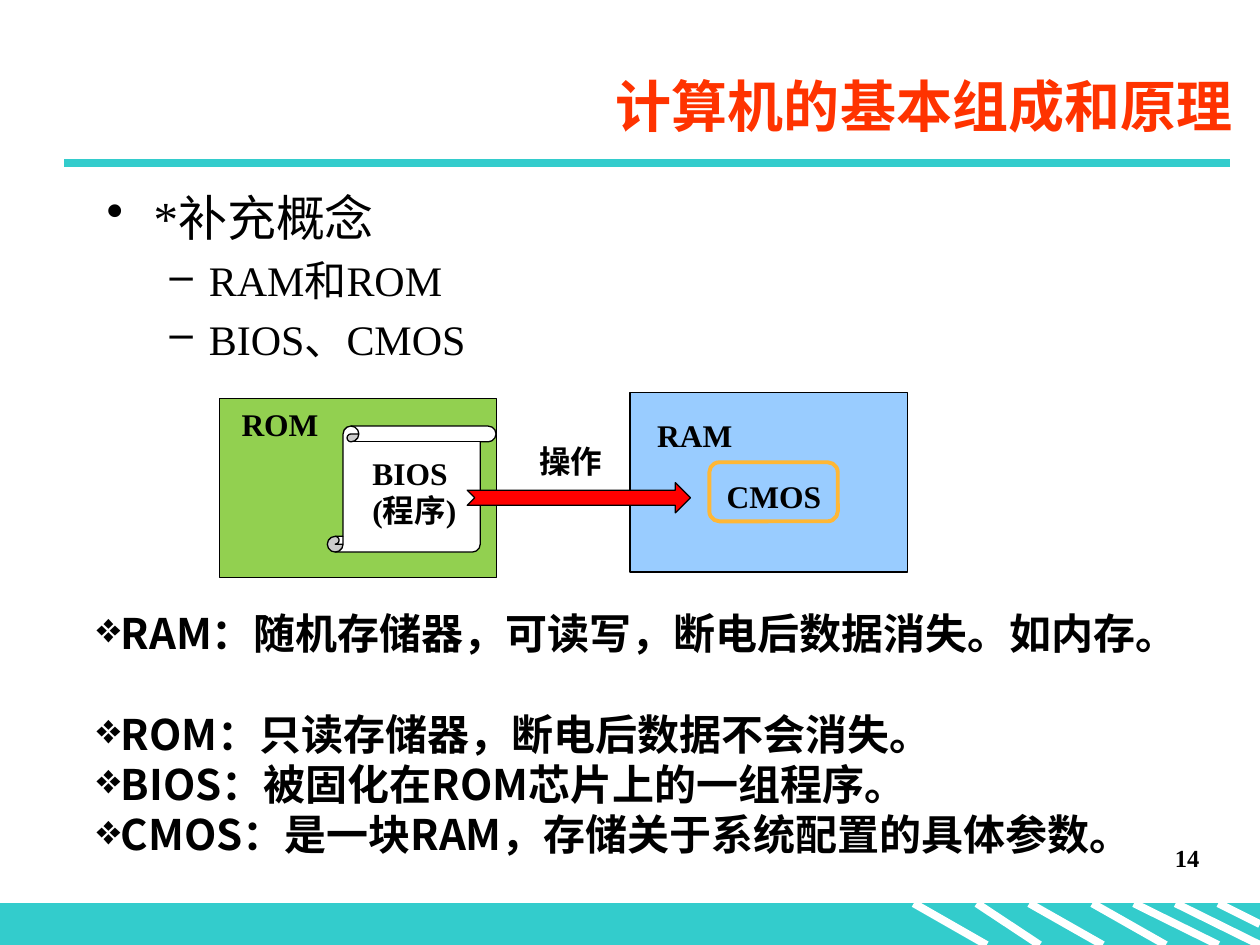
from dataclasses import dataclass

import pptx
import pptx.util
import pptx.dml.color
import pptx.enum.lang
import pptx.enum.shapes
import pptx.enum.text
import pptx.oxml.ns
from lxml import etree

Cm = pptx.util.Cm
Pt = pptx.util.Pt
KIND = pptx.enum.shapes.MSO_SHAPE
ALIGN = pptx.enum.text.PP_ALIGN
ANCHOR = pptx.enum.text.MSO_ANCHOR
SERIF = "Times New Roman"
SANS = "Noto Sans CJK SC"
COLORS = {"teal": "33CCCC", "white": "FFFFFF", "black": "000000",
          "title": "FF3300", "green": "92D050", "blue": "99CCFF",
          "red": "FF0000", "gold": "FFB735"}


@dataclass
class Box:
    """Place and size in centimetres."""
    left: float
    top: float
    width: float
    height: float

    def emu(self) -> tuple:
        return Cm(self.left), Cm(self.top), Cm(self.width), Cm(self.height)


@dataclass
class Para:
    text: str
    size: float = 18
    bold: bool = True
    color: str = "black"
    font: str = SERIF
    align: object = ALIGN.LEFT
    before: float = 0
    bullet: str = ""
    margin: float = 0
    hang: float = 0
    level: int = 0


@dataclass
class Form:
    kind: object
    box: Box
    fill: str = ""
    line: str = "black"
    weight: float = 0.75
    adjust: tuple = ()


def rgb(name: str):
    return pptx.dml.color.RGBColor.from_string(COLORS[name])


def add_sub(parent, tag: str, **attrs):
    return etree.SubElement(parent, pptx.oxml.ns.qn(tag), **attrs)


def draw_form(slide, form: Form) -> None:
    shape = slide.shapes.add_shape(form.kind, *form.box.emu())
    shape.shadow.inherit = False
    for index, value in enumerate(form.adjust):
        shape.adjustments[index] = value
    if form.fill:
        shape.fill.solid()
        shape.fill.fore_color.rgb = rgb(form.fill)
    else:
        shape.fill.background()
    shape.line.color.rgb = rgb(form.line)
    shape.line.width = Pt(form.weight)


def draw_line(slide, start: tuple, end: tuple, color: str) -> None:
    line = slide.shapes.add_connector(
        pptx.enum.shapes.MSO_CONNECTOR.STRAIGHT,
        *(Cm(value) for value in start + end))
    line.line.color.rgb = rgb(color)
    line.line.width = Pt(4.5)
    add_sub(line._element.spPr, "a:effectLst")


def add_para(par, item: Para) -> None:
    props = par._p.get_or_add_pPr()
    if item.bullet:
        props.set("marL", str(Cm(item.margin)))
        props.set("indent", str(-Cm(item.hang)))
        add_sub(add_sub(props, "a:buClr"), "a:srgbClr", val=COLORS[item.color])
        add_sub(props, "a:buChar", char=item.bullet)
    par.level = item.level
    par.alignment = item.align
    par.space_before = Pt(item.before)
    run = par.add_run()
    run.text = item.text
    font = run.font
    font.name, font.size, font.bold = item.font, Pt(item.size), item.bold
    font.color.rgb = rgb(item.color)
    font.language_id = pptx.enum.lang.MSO_LANGUAGE_ID.SIMPLIFIED_CHINESE
    add_sub(run._r.get_or_add_rPr(), "a:ea", typeface=SANS)


def draw_text(slide, box: Box, *items: Para, anchor=ANCHOR.TOP) -> None:
    frame = slide.shapes.add_textbox(*box.emu()).text_frame
    frame.word_wrap = True
    frame.vertical_anchor = anchor
    for index, item in enumerate(items):
        add_para(frame.add_paragraph() if index else frame.paragraphs[0], item)


def draw_frame(slide) -> None:
    """Footer band with stripes, title with rule, and page number."""
    band = Box(0, 18.21, 25.4, 0.84)
    draw_form(slide, Form(KIND.RECTANGLE, band, "teal", "teal"))
    stripes = [(19.69, 20.96, 19.05), (18.42, 19.89, 19.05),
               (20.75, 22.23, 19.05), (23.7, 25.4, 19.05),
               (22.86, 24.56, 19.05), (24.56, 25.4, 18.63),
               (22.02, 23.5, 19.05)]
    for left, right, foot in stripes:
        draw_line(slide, (left, band.top), (right, foot), "white")
    draw_line(slide, (1.3, 3.28), (24.79, 3.28), "teal")
    draw_text(slide, Box(3.51, 1.12, 21.59, 2.01),
              Para("计算机的基本组成和原理", 32, color="title", align=ALIGN.RIGHT),
              anchor=ANCHOR.MIDDLE)
    draw_text(slide, Box(19.15, 16.87, 5.28, 1.27),
              Para("14", 14, align=ALIGN.RIGHT))


def draw_topics(slide) -> None:
    subs = [Para(text, 24, False, before=4.8, bullet="–",
                 margin=2.06, hang=0.79, level=1)
            for text in ("RAM和ROM", "BIOS、CMOS")]
    draw_text(slide, Box(1.9, 3.66, 21.59, 5),
              Para("*补充概念", 28, False, bullet="•", margin=0.95, hang=0.95),
              *subs)


def draw_chips(slide) -> None:
    draw_form(slide, Form(KIND.RECTANGLE, Box(4.42, 8.03, 5.59, 3.61), "green"))
    draw_text(slide, Box(4.62, 8.05, 2.79, 1.02), Para("ROM"))
    draw_form(slide, Form(KIND.VERTICAL_SCROLL, Box(6.6, 8.59, 3.4, 2.54),
                          "white", adjust=(0.125,)))
    draw_text(slide, Box(7.26, 9.02, 2.77, 1.8), Para("BIOS"), Para("(程序)"))
    draw_form(slide, Form(KIND.RECTANGLE, Box(12.7, 7.92, 5.59, 3.61), "blue"))
    draw_text(slide, Box(13, 8.26, 2.79, 1.02), Para("RAM"))
    draw_text(slide, Box(14.4, 9.5, 2.79, 1.04), Para("CMOS"))
    draw_form(slide, Form(KIND.NOTCHED_RIGHT_ARROW, Box(9.42, 9.73, 4.5, 0.61),
                          "red", adjust=(0.5, 0.5)))
    draw_text(slide, Box(10.62, 8.79, 1.9, 1.02), Para("操作"))
    draw_form(slide, Form(KIND.ROUNDED_RECTANGLE, Box(14.3, 9.32, 2.59, 1.19),
                          line="gold", weight=2.25, adjust=(0.17,)))


def draw_notes(slide) -> None:
    notes = [("RAM：随机存储器，可读写，断电后数据消失。如内存。", 0),
             ("ROM：只读存储器，断电后数据不会消失。", 28.8),
             ("BIOS：被固化在ROM芯片上的一组程序。", 0),
             ("CMOS：是一块RAM，存储关于系统配置的具体参数。", 0)]
    draw_text(slide, Box(1.7, 12.12, 23.2, 4.37),
              *(Para(text, 24, font=SANS, before=gap, bullet="❖")
                for text, gap in notes))


def main() -> None:
    deck = pptx.Presentation()
    deck.slide_width, deck.slide_height = Cm(25.4), Cm(19.05)
    slide = deck.slides.add_slide(deck.slide_layouts[6])
    draw_frame(slide)
    draw_topics(slide)
    draw_chips(slide)
    draw_notes(slide)
    deck.save("out.pptx")


if __name__ == "__main__":
    main()
